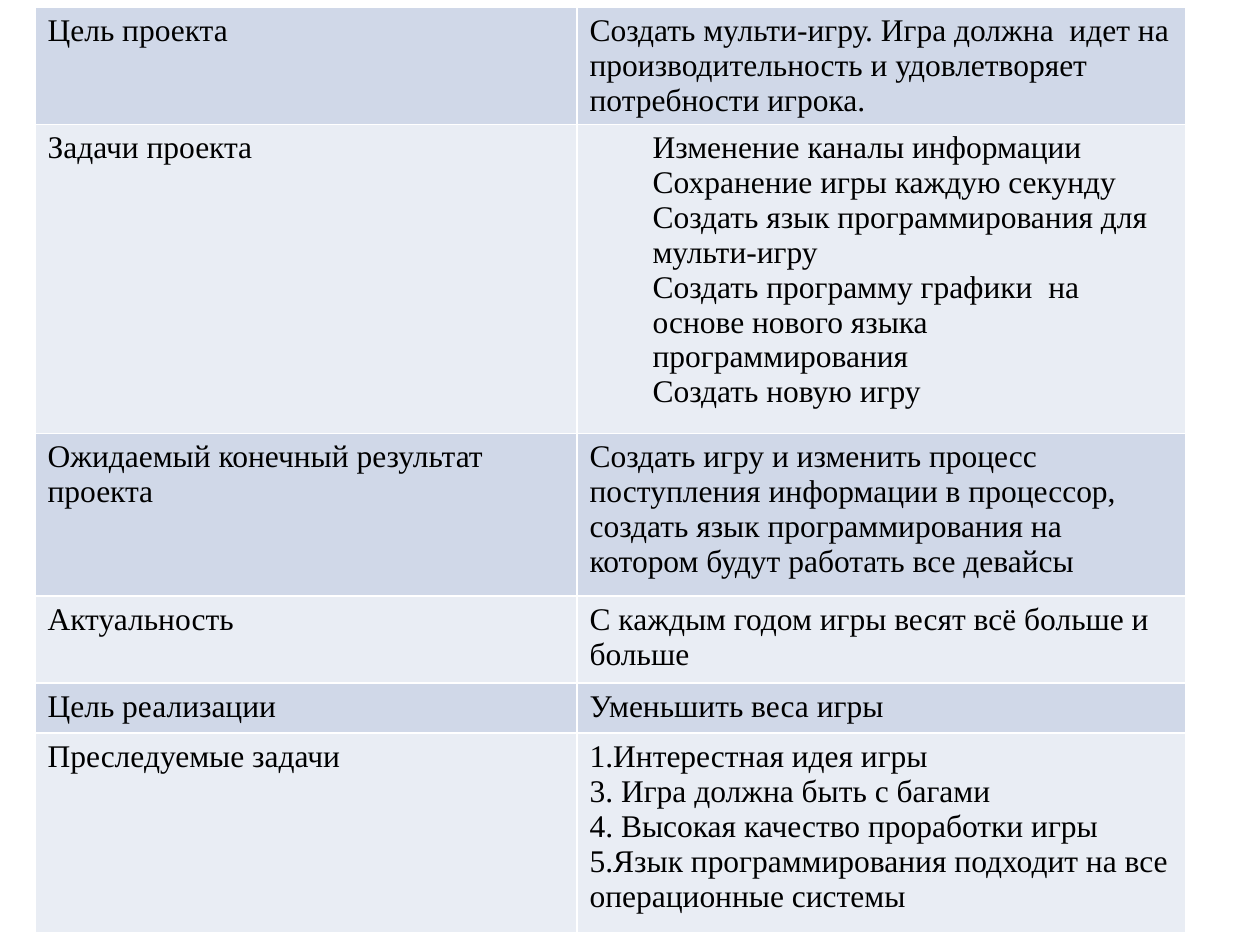
from pptx import Presentation
from pptx.dml.color import RGBColor
from pptx.oxml import parse_xml
from pptx.oxml.ns import nsdecls
from pptx.util import Pt

SCALE = 914400 / 126  # EMU in one px
BANDS = ["D0D8E8", "E9EDF4"]
COLS = [542, 609]

# Row height, label, paragraphs, level
ROWS = [
    (116, "Цель проекта",
     ["Создать мульти-игру. Игра должна  идет на производительность "
      "и удовлетворяет потребности игрока."], 0),
    (309, "Задачи проекта",
     ["Изменение каналы информации",
      "Сохранение игры каждую секунду",
      "Создать язык программирования для мульти-игру",
      "Создать программу графики  на основе нового языка программирования",
      "Создать новую игру"], 1),
    (163, "Ожидаемый конечный результат проекта",
     ["Создать игру и изменить процесс поступления информации в процессор, "
      "создать язык программирования на котором будут работать все девайсы"], 0),
    (87, "Актуальность",
     ["С каждым годом игры весят всё больше и больше"], 0),
    (50, "Цель реализации", ["Уменьшить веса игры"], 0),
    (200, "Преследуемые задачи",
     ["1.Интерестная идея игры\n"
      "3. Игра должна быть с багами\n"
      "4. Высокая качество проработки игры\n"
      "5.Язык программирования подходит на все операционные системы"], 0),
]


def px(n):
    return round(n * SCALE)


def color(code):
    return RGBColor.from_string(code)


def put_text(para, text, size=18, face="Times New Roman", ink="000000", level=0):
    para.text = text
    if level:
        para.level = level
        props = para._p.get_or_add_pPr()
        props.set("marL", str(px(63 * level)))
        props.set("indent", "0")
    for run in para.runs:
        run.font.size = Pt(size)
        run.font.name = face
        run.font.bold = False
        run.font.color.rgb = color(ink)


def add_lines(cell, ink="FFFFFF", width=1):
    props = cell._tc.get_or_add_tcPr()
    for i, side in enumerate(["lnL", "lnR", "lnT", "lnB"]):
        # Borders go before the fill
        props.insert(i, parse_xml(
            f'<a:{side} {nsdecls("a")} w="{Pt(width)}"><a:solidFill>'
            f'<a:srgbClr val="{ink}"/></a:solidFill></a:{side}>'))


def fill_cell(cell, paras, band, level=0):
    cell.fill.solid()
    cell.fill.fore_color.rgb = color(band)
    add_lines(cell)
    frame = cell.text_frame
    for i, text in enumerate(paras):
        para = frame.add_paragraph() if i else frame.paragraphs[0]
        put_text(para, text, level=level)


def add_grid(slide, left, top):
    high = sum(row[0] for row in ROWS)
    table = slide.shapes.add_table(
        len(ROWS), len(COLS), px(left), px(top), px(sum(COLS)), px(high)).table
    table.first_row = False
    for col, width in zip(table.columns, COLS):
        col.width = px(width)
    for i, (height, label, paras, level) in enumerate(ROWS):
        table.rows[i].height = px(height)
        band = BANDS[i % 2]
        fill_cell(table.cell(i, 0), [label], band)
        fill_cell(table.cell(i, 1), paras, band, level)


def main():
    deck = Presentation()
    deck.slide_width, deck.slide_height = px(1260), px(945)
    slide = deck.slides.add_slide(deck.slide_layouts[6])
    # Project table
    add_grid(slide, 35, 7)
    deck.save("out.pptx")


if __name__ == "__main__":
    main()
